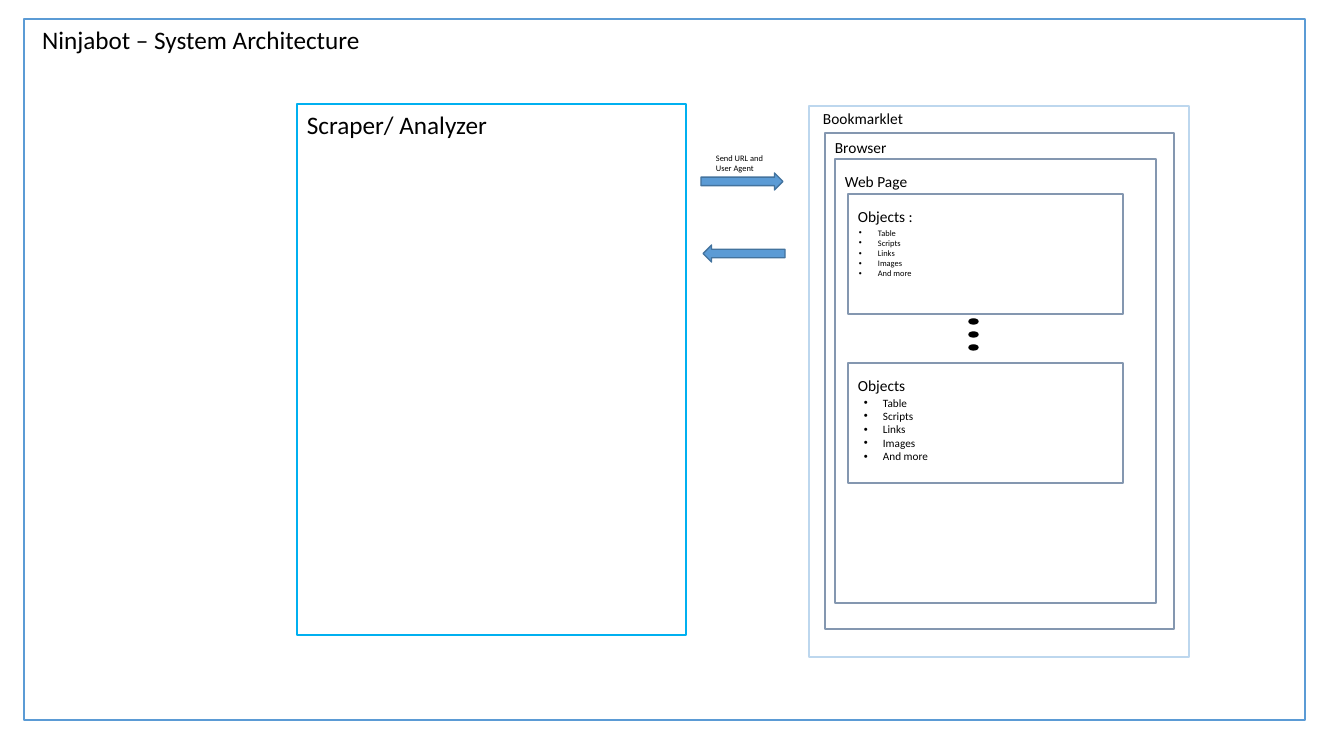
from lxml import etree
from pptx import Presentation
from pptx.dml.color import RGBColor
from pptx.enum.shapes import MSO_SHAPE
from pptx.enum.text import MSO_ANCHOR, MSO_AUTO_SIZE, PP_ALIGN
from pptx.oxml.ns import qn
from pptx.util import Pt

RECT, ARROW, OVAL = MSO_SHAPE.RECTANGLE, MSO_SHAPE.RIGHT_ARROW, MSO_SHAPE.OVAL
TOP, LEFT, NO_FIT = MSO_ANCHOR.TOP, PP_ALIGN.LEFT, MSO_AUTO_SIZE.NONE
SCALE = 914400 / 100.8
COLORS = {"white": "FFFFFF", "black": "000000", "blue": "5B9BD5", "cyan": "00B0F0",
          "navy": "43739E", "pale": "BDD7EE", "slate": "8497B0"}
FRAME = {"word_wrap": True, "auto_size": NO_FIT, "vertical_anchor": TOP,
         "margin_left": Pt(7.2), "margin_right": Pt(7.2),
         "margin_top": Pt(3.6), "margin_bottom": Pt(3.6)}
ITEMS = ["Table", "Scripts", "Links", "Images", "And more"]


def px(n):
    """Turn pixels into EMU."""
    return round(n * SCALE)


def assign(obj, values):
    """Set attributes of an object from a dict."""
    for key, value in values.items():
        setattr(obj, key, value)


class Board:
    """Holds the style and the current slide."""

    def __init__(self, prs, font="Calibri"):
        """Add a title-only slide."""
        self.slide = prs.slides.add_slide(prs.slide_layouts[5])
        self.shapes, self.font = self.slide.shapes, font

    def group(self):
        """Send the next elements into a new group."""
        self.shapes = self.slide.shapes.add_group_shape().shapes

    def ungroup(self):
        """Send the next elements to the slide."""
        self.shapes = self.slide.shapes

    def shape(self, kind, box, line, fill="white", rotation=0):
        """Draw a filled and outlined preset shape."""
        sp = self.shapes.add_shape(kind, *map(px, box))
        sp.shadow.inherit = False
        sp.rotation = rotation
        sp.fill.solid()
        sp.fill.fore_color.rgb = RGBColor.from_string(COLORS[fill])
        sp.line.color.rgb = RGBColor.from_string(COLORS[line])
        sp.line.width = Pt(1)

    def set_text(self, sp, lines, size, bullets=False):
        """Fill a shape with formatted paragraphs."""
        tf = sp.text_frame
        assign(tf, FRAME)
        tf.text = "\n".join(lines)
        for p in tf.paragraphs:
            p.alignment = LEFT
            assign(p.runs[0].font, {"name": self.font, "size": Pt(size)})
            p.runs[0].font.color.rgb = RGBColor.from_string(COLORS["black"])
            if bullets:
                pr = p._p.get_or_add_pPr()
                pr.set("marL", str(px(19)))
                pr.set("indent", str(px(-19)))
                etree.SubElement(pr, qn("a:buFont")).set("typeface", "Arial")
                etree.SubElement(pr, qn("a:buChar")).set("char", "•")

    def text(self, box, lines, size=11, bullets=False):
        """Add a text box."""
        self.set_text(self.shapes.add_textbox(*map(px, box)), lines, size, bullets)

    def title(self, box, text, size=18):
        """Place the title above the shapes drawn so far."""
        sp = self.slide.shapes.title
        assign(sp, dict(zip(("left", "top", "width", "height"), map(px, box))))
        self.set_text(sp, [text], size)
        sp._element.getparent().append(sp._element)


prs = Presentation()
assign(prs, {"slide_width": px(1344), "slide_height": px(756)})
board = Board(prs)
board.shape(RECT, (24, 19, 1281, 701), "blue")
board.title((32, 19, 351, 40), "Ninjabot – System Architecture")
board.shape(RECT, (297, 104, 389, 531), "cyan")
board.text((297, 104, 345, 40), ["Scraper/ Analyzer"], 18)
board.shape(ARROW, (701, 173, 82, 17), "navy", "blue")

board.group()
for box, line, label, at in [
        ((809, 106, 380, 551), "pale", "Bookmarklet", (813, 104, 351, 29)),
        ((825, 133, 349, 496), "slate", "Browser", (825, 133, 322, 29)),
        ((835, 159, 321, 444), "slate", "Web Page", (835, 167, 295, 29)),
        ((848, 194, 275, 120), "slate", "Objects :", (848, 202, 254, 29)),
        ((848, 363, 275, 120), "slate", "Objects", (848, 371, 254, 29))]:
    board.shape(RECT, box, line)
    board.text(at, [label])
for i in range(3):
    board.shape(OVAL, (969, 319 + 13 * i, 9, 5), "black", "black")
board.text((854, 391, 99, 78), ITEMS, 8, bullets=True)
board.text((849, 223, 73, 72), ITEMS, 6, bullets=True)
board.ungroup()

board.shape(ARROW, (703, 245, 82, 17), "navy", "blue", rotation=180)
board.text((706, 148, 73, 30), ["Send URL and User Agent"], 6)
prs.save("out.pptx")
